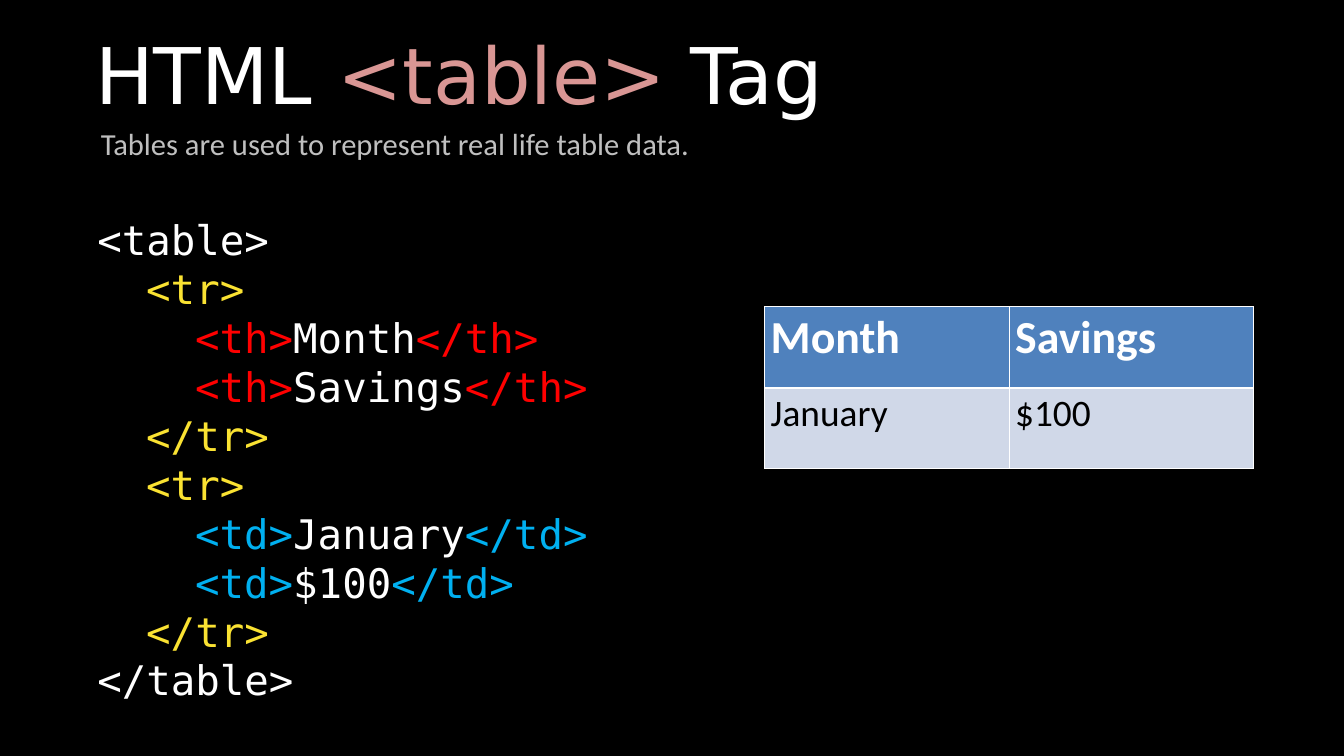
from lxml.etree import SubElement
from pptx import Presentation
from pptx.dml.color import RGBColor
from pptx.enum.shapes import MSO_SHAPE
from pptx.enum.text import MSO_ANCHOR, MSO_AUTO_SIZE, PP_ALIGN
from pptx.oxml.ns import qn
from pptx.util import Inches, Pt

WHITE = RGBColor(0xFF, 0xFF, 0xFF)
BLACK = RGBColor(0x00, 0x00, 0x00)
GRAY = RGBColor(0xBF, 0xBF, 0xBF)
PINK = RGBColor(0xD9, 0x96, 0x94)
YELLOW = RGBColor(0xFA, 0xE2, 0x32)
RED = RGBColor(0xFF, 0x00, 0x00)
SKY = RGBColor(0x00, 0xB0, 0xF0)
HEADER_BLUE = RGBColor(0x4F, 0x81, 0xBD)
ROW_BLUE = RGBColor(0xD0, 0xD8, 0xE8)

WIDTH, HEIGHT = Inches(21.99), Inches(12.37)
CODE_SIZE = 48
INDENT = Pt(CODE_SIZE * 0.6 * 2)  # two monospaced characters

HEADING = [("HTML ", WHITE), ("<table>", PINK), (" Tag", WHITE)]
SUBTITLE = "Tables are used to represent real life table data."
HEADERS = ["Month", "Savings"]
VALUES = ["January", "$100"]


def area(left, top, width, height):
    """Turn percentages of the slide into a position and size."""
    return (int(WIDTH * left / 100), int(HEIGHT * top / 100),
            int(WIDTH * width / 100), int(HEIGHT * height / 100))


def place(shape, box):
    shape.left, shape.top, shape.width, shape.height = box


def prepare_frame(frame):
    """Pin the text to the top left corner without insets."""
    frame.margin_left = frame.margin_right = 0
    frame.margin_top = frame.margin_bottom = 0
    frame.vertical_anchor = MSO_ANCHOR.TOP
    frame.auto_size = MSO_AUTO_SIZE.NONE
    frame.word_wrap = True


def set_font(paragraph, name, size, color=None, bold=False):
    font = paragraph.font
    font.name, font.size, font.bold = name, Pt(size), bold
    if color is not None:
        font.color.rgb = color


def add_runs(paragraph, pieces):
    for text, color in pieces:
        run = paragraph.add_run()
        run.text = text
        run.font.color.rgb = color


def add_backdrop(slide):
    """Cover the slide in black, behind everything else."""
    backdrop = slide.shapes.add_shape(MSO_SHAPE.RECTANGLE, 0, 0, WIDTH, HEIGHT)
    backdrop.shadow.inherit = False
    backdrop.fill.solid()
    backdrop.fill.fore_color.rgb = BLACK
    backdrop.line.fill.background()
    slide.shapes.title._element.addprevious(backdrop._element)


def add_heading(title):
    place(title, area(7.08, 3.48, 72.53, 12.53))
    prepare_frame(title.text_frame)
    paragraph = title.text_frame.paragraphs[0]
    paragraph.alignment = PP_ALIGN.LEFT
    set_font(paragraph, "DejaVu Sans", 92)
    add_runs(paragraph, HEADING)


def add_subtitle(slide):
    frame = slide.shapes.add_textbox(*area(7.05, 16.09, 49.66, 5.74)).text_frame
    frame.word_wrap = True
    frame.text = SUBTITLE
    set_font(frame.paragraphs[0], "Calibri", 36, GRAY)


def row_code(tag, color, texts):
    """List the code lines of one table row as (depth, pieces)."""
    cells = [(2, [(f"<{tag}>", color), (text, WHITE), (f"</{tag}>", color)])
             for text in texts]
    return [(1, [("<tr>", YELLOW)]), *cells, (1, [("</tr>", YELLOW)])]


def add_code(body):
    place(body, area(7.24, 28.46, 37.79, 65.32))
    frame = body.text_frame
    prepare_frame(frame)
    lines = [(0, [("<table>", WHITE)]),
             *row_code("th", RED, HEADERS),
             *row_code("td", SKY, VALUES),
             (0, [("</table>", WHITE)])]
    for number, (depth, pieces) in enumerate(lines):
        paragraph = frame.add_paragraph() if number else frame.paragraphs[0]
        paragraph.space_before = paragraph.space_after = Pt(0)
        paragraph.line_spacing = Pt(57.6)
        set_font(paragraph, "DejaVu Sans Mono", CODE_SIZE)
        add_runs(paragraph, pieces)
        properties = paragraph._p.get_or_add_pPr()
        properties.set("marL", str(depth * INDENT))
        properties.set("indent", "0")
        bullet = SubElement(properties, qn("a:buNone"))
        properties.find(qn("a:defRPr")).addprevious(bullet)


def add_borders(cell, bottom):
    """Draw white cell edges, one point wide except at the bottom."""
    properties = cell._tc.get_or_add_tcPr()
    edges = [("lnL", 1), ("lnR", 1), ("lnT", 1), ("lnB", bottom)]
    for index, (edge, points) in enumerate(edges):
        line = SubElement(properties, qn(f"a:{edge}"), w=str(Pt(points)))
        fill = SubElement(line, qn("a:solidFill"))
        SubElement(fill, qn("a:srgbClr"), val=str(WHITE))
        properties.insert(index, line)


def fill_row(cells, texts, size, color, background, bold, bottom):
    for cell, text in zip(cells, texts):
        cell.text = text
        set_font(cell.text_frame.paragraphs[0], "Calibri", size, color, bold)
        cell.fill.solid()
        cell.fill.fore_color.rgb = background
        add_borders(cell, bottom)


def add_savings_table(slide):
    box = area(56.89, 40.58, 36.38, 21.42)
    table = slide.shapes.add_table(2, len(HEADERS), *box).table
    header, january = (row.cells for row in table.rows)
    fill_row(header, HEADERS, 54, WHITE, HEADER_BLUE, True, 3)
    fill_row(january, VALUES, 44, BLACK, ROW_BLUE, False, 1)


def main():
    deck = Presentation()
    deck.slide_width, deck.slide_height = WIDTH, HEIGHT
    slide = deck.slides.add_slide(deck.slide_layouts[1])
    add_backdrop(slide)
    add_heading(slide.shapes.title)
    add_code(slide.placeholders[1])
    add_subtitle(slide)
    add_savings_table(slide)
    deck.save("out.pptx")


if __name__ == "__main__":
    main()
